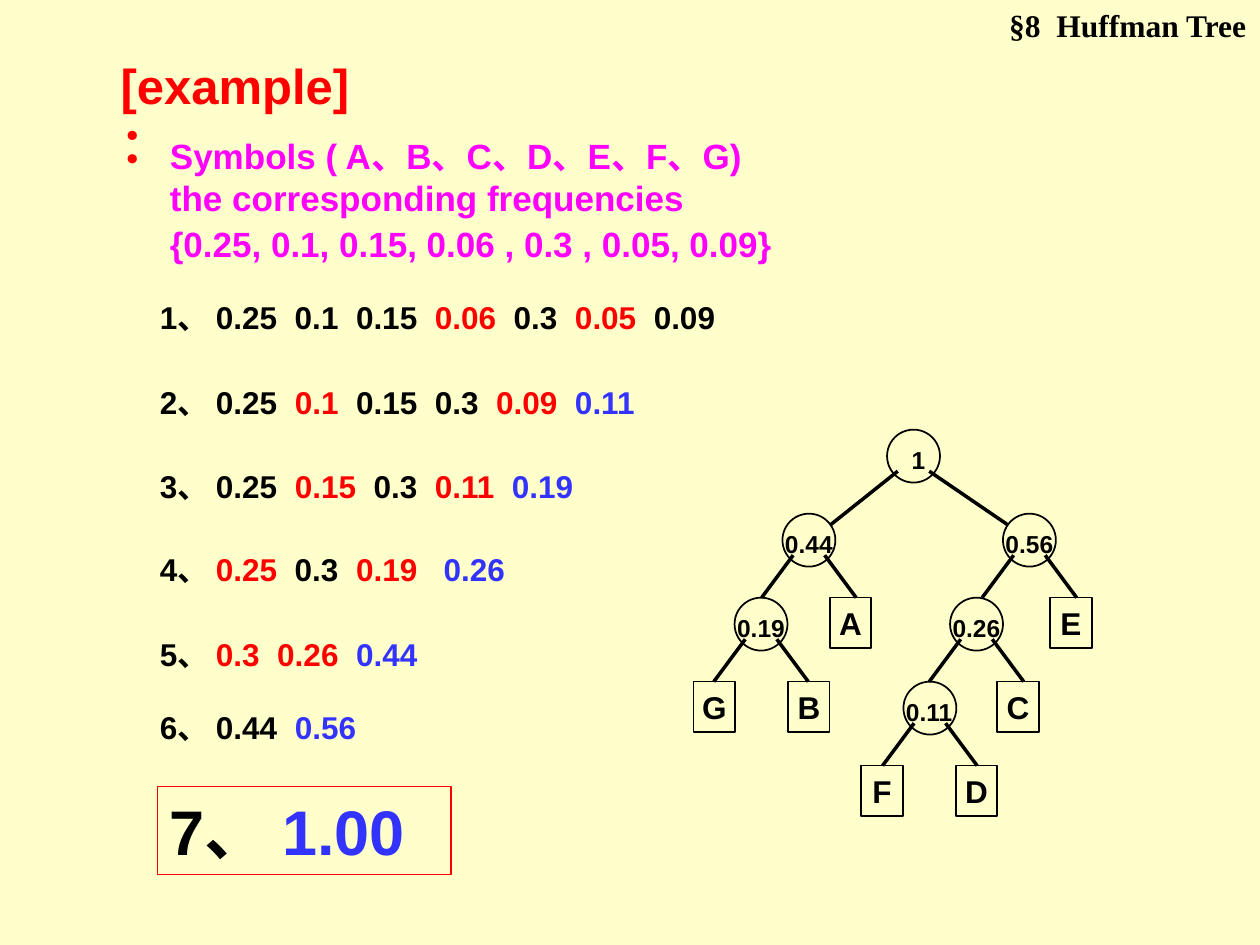
from dataclasses import dataclass

from lxml import etree
from pptx import Presentation
from pptx.dml.color import RGBColor
from pptx.enum.shapes import MSO_CONNECTOR, MSO_SHAPE
from pptx.enum.text import MSO_ANCHOR, PP_ALIGN
from pptx.oxml.ns import qn
from pptx.util import Inches, Pt

STRAIGHT = MSO_CONNECTOR.STRAIGHT
RECTANGLE, OVAL = MSO_SHAPE.RECTANGLE, MSO_SHAPE.OVAL
TOP = MSO_ANCHOR.TOP
LEFT, CENTER, RIGHT = PP_ALIGN.LEFT, PP_ALIGN.CENTER, PP_ALIGN.RIGHT

COLORS = {
    "background": "FFFFCC",
    "black": "000000",
    "red": "FF0000",
    "blue": "3333FF",
    "magenta": "FF00FF",
}
LEVEL_GAP = 2 / 3
TREE_TOP = 3.41
CIRCLE = 0.42
LEAF_WIDTH, LEAF_HEIGHT = 0.33, 0.4
BRANCH = 0.375
BRANCH_START = 0.125
BRANCH_DROP = 0.33


@dataclass
class Span:
    text: str
    color: str = "black"


@dataclass
class Node:
    label: str
    center: float
    level: int
    children: tuple["Node", ...] = ()

    @property
    def top(self) -> float:
        return TREE_TOP + self.level * LEVEL_GAP


@dataclass
class Step:
    top: float
    width: float
    spans: list[Span]


def rgb(name: str) -> RGBColor:
    return RGBColor.from_string(COLORS[name])


def write(shape, paragraphs: list[list[Span]], size: float, font: str = "Arial",
          align=LEFT, side: float = 0.1) -> None:
    frame = shape.text_frame
    frame.word_wrap = True
    frame.vertical_anchor = TOP
    frame.margin_left = frame.margin_right = Inches(side)
    frame.margin_top = frame.margin_bottom = Inches(0.05)
    for index, spans in enumerate(paragraphs):
        para = frame.add_paragraph() if index else frame.paragraphs[0]
        para.alignment = align
        for span in spans:
            run = para.add_run()
            run.text = span.text
            run.font.name = font
            run.font.size = Pt(size)
            run.font.bold = True
            run.font.color.rgb = rgb(span.color)


def add_text(page, left: float, top: float, width: float, height: float,
             paragraphs: list[list[Span]], size: float, **style) -> None:
    box = page.shapes.add_textbox(Inches(left), Inches(top), Inches(width), Inches(height))
    write(box, paragraphs, size, **style)


def add_outline(page, kind, left: float, top: float, width: float, height: float,
                color: str = "black", weight: float = 1):
    shape = page.shapes.add_shape(kind, Inches(left), Inches(top), Inches(width), Inches(height))
    shape.shadow.inherit = False
    shape.fill.background()
    shape.line.color.rgb = rgb(color)
    shape.line.width = Pt(weight)
    return shape


def add_branch(page, start: tuple[float, float], end: tuple[float, float]) -> None:
    line = page.shapes.add_connector(STRAIGHT, *(Inches(value) for value in start + end))
    line.line.color.rgb = rgb("black")
    line.line.width = Pt(2)
    etree.SubElement(line._element.spPr, qn("a:effectLst"))


def draw_node(page, node: Node) -> None:
    """Draw a node with everything below it: circles for sums, squares for symbols."""
    if not node.children:
        leaf = add_outline(page, RECTANGLE, node.center - LEAF_WIDTH / 2, node.top,
                           LEAF_WIDTH, LEAF_HEIGHT)
        write(leaf, [[Span(node.label)]], 18, align=CENTER, side=0.06)
        return
    is_root = node.level == 0
    for side, child in zip((-1, 1), node.children):
        draw_node(page, child)
        if is_root:
            end = (child.center - side * 0.17, child.top + 0.09)
        else:
            end = (node.center + side * BRANCH, child.top)
        add_branch(page, (node.center + side * BRANCH_START, node.top + BRANCH_DROP), end)
    left = node.center - CIRCLE / 2
    add_outline(page, OVAL, left, node.top, CIRCLE, CIRCLE)
    add_text(page, left - 0.04, node.top + 0.07, 0.58, 0.34, [[Span(node.label)]], 14,
             align=CENTER if is_root else LEFT, side=0.1 if is_root else 0.06)


TREE = Node("1", 7.25, 0, (
    Node("0.44", 6.42, 1, (
        Node("0.19", 6.04, 2, (Node("G", 5.67, 3), Node("B", 6.42, 3))),
        Node("A", 6.75, 2),
    )),
    Node("0.56", 8.17, 1, (
        Node("0.26", 7.75, 2, (
            Node("0.11", 7.38, 3, (Node("F", 7, 4), Node("D", 7.75, 4))),
            Node("C", 8.08, 3),
        )),
        Node("E", 8.5, 2),
    )),
))

STEPS = [
    Step(2.32, 5.92, [Span("1、 0.25  0.1  0.15  "), Span("0.06", "red"), Span("  0.3  "),
                      Span("0.05", "red"), Span("  0.09")]),
    Step(2.99, 5, [Span("2、 0.25  "), Span("0.1", "red"), Span("  0.15  0.3  "),
                   Span("0.09  ", "red"), Span("0.11", "blue")]),
    Step(3.66, 4.33, [Span("3、 0.25  "), Span("0.15", "red"), Span("  0.3  "),
                      Span("0.11  ", "red"), Span("0.19", "blue")]),
    Step(4.32, 3.67, [Span("4、 "), Span("0.25", "red"), Span("  0.3  "),
                      Span("0.19   ", "red"), Span("0.26", "blue")]),
    Step(4.99, 2.92, [Span("5、 "), Span("0.3  0.26  ", "red"), Span("0.44", "blue")]),
    Step(5.57, 2.75, [Span("6、 0.44  "), Span("0.56", "blue")]),
]


def main() -> None:
    deck = Presentation()
    deck.slide_width, deck.slide_height = Inches(10), Inches(7.5)
    page = deck.slides.add_slide(deck.slide_layouts[6])
    page.background.fill.solid()
    page.background.fill.fore_color.rgb = rgb("background")

    add_text(page, 0.86, 0.39, 2.03, 1.04, [[Span("[example]：", "red")]], 28)
    add_text(page, 1.25, 1.02, 7.81, 0.77, [
        [Span("Symbols ( A、B、C、D、E、F、G)", "magenta")],
        [Span("the corresponding frequencies", "magenta")],
    ], 20)
    add_text(page, 1.25, 1.72, 6.64, 0.44,
             [[Span("{0.25, 0.1, 0.15, 0.06 , 0.3 , 0.05, 0.09}", "magenta")]], 20)

    draw_node(page, TREE)
    for step in STEPS:
        add_text(page, 1.17, step.top, step.width, 0.4, [step.spans], 18)

    result = add_outline(page, RECTANGLE, 1.25, 6.24, 2.33, 0.7, "red", 0.75)
    write(result, [[Span("7、 "), Span("1.00", "blue")]], 36)
    add_text(page, 7.71, 0, 2.28, 0.4, [[Span("§8  Huffman Tree")]], 18,
             font="Times New Roman", align=RIGHT)
    deck.save("out.pptx")


if __name__ == "__main__":
    main()
